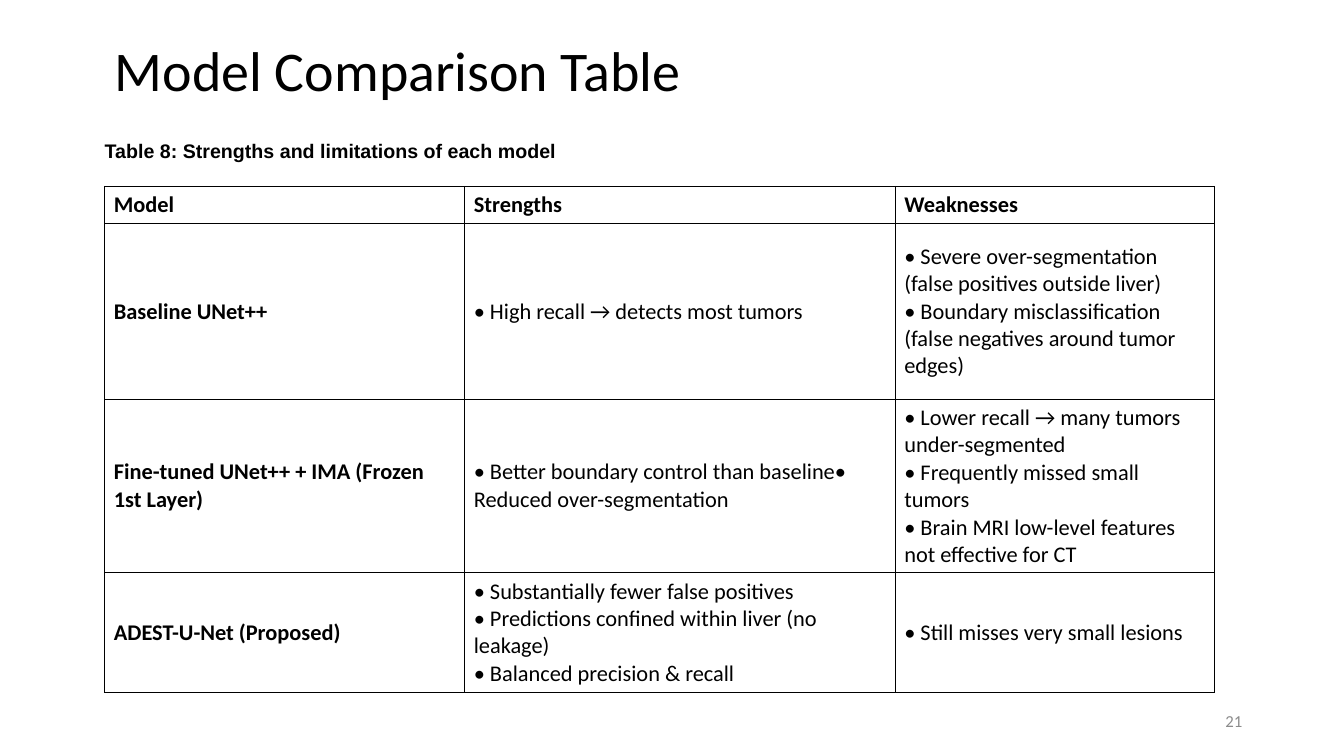
import pptx
import pptx.dml.color
import pptx.enum.text
import pptx.oxml
import pptx.oxml.ns
import pptx.util

Inches = pptx.util.Inches
Pt = pptx.util.Pt
RGBColor = pptx.dml.color.RGBColor
PP_ALIGN = pptx.enum.text.PP_ALIGN
MSO_ANCHOR = pptx.enum.text.MSO_ANCHOR
MSO_AUTO_SIZE = pptx.enum.text.MSO_AUTO_SIZE

BLACK = RGBColor(0x00, 0x00, 0x00)
GREY = RGBColor(0x8C, 0x8C, 0x8C)

COLUMN_WIDTHS = [3.57, 4.27, 3.17]
ROW_HEIGHTS = [0.37, 1.74, 1.72, 1.19]
MODELS = [
    ["Model", "Strengths", "Weaknesses"],
    [
        "Baseline UNet++",
        "• High recall → detects most tumors",
        "• Severe over-segmentation (false positives outside liver)\n"
        "• Boundary misclassification (false negatives around tumor edges)",
    ],
    [
        "Fine-tuned UNet++ + IMA (Frozen 1st Layer)",
        "• Better boundary control than baseline• Reduced over-segmentation",
        "• Lower recall → many tumors under-segmented\n"
        "• Frequently missed small tumors\n"
        "• Brain MRI low-level features not effective for CT",
    ],
    [
        "ADEST-U-Net (Proposed)",
        "• Substantially fewer false positives\n"
        "• Predictions confined within liver (no leakage)\n"
        "• Balanced precision & recall",
        "• Still misses very small lesions",
    ],
]


class SlideBuilder:
    """Holds the slide and its text and border style."""

    font = "Calibri"
    border_pt = 1

    def __init__(self, prs):
        self.s = prs.slides.add_slide(prs.slide_layouts[5])

    def format_text(self, tf, size, color=BLACK, bold=False, font=None, align=PP_ALIGN.LEFT):
        for p in tf.paragraphs:
            p.alignment = align
            for r in p.runs:
                r.font.name = font or self.font
                r.font.size = Pt(size)
                r.font.bold = bold
                r.font.color.rgb = color

    def title(self, text, left, top, width, height):
        sp = self.s.shapes.title
        sp.left, sp.top = Inches(left), Inches(top)
        sp.width, sp.height = Inches(width), Inches(height)
        tf = sp.text_frame
        tf.text = text
        tf.auto_size = MSO_AUTO_SIZE.NONE
        tf.vertical_anchor = MSO_ANCHOR.MIDDLE
        tf.paragraphs[0].line_spacing = 0.9
        self.format_text(tf, 40)

    def text(self, text, left, top, width, height, size, wrap=True, anchor=MSO_ANCHOR.TOP, **style):
        sp = self.s.shapes.add_textbox(Inches(left), Inches(top), Inches(width), Inches(height))
        tf = sp.text_frame
        tf.text = text
        tf.word_wrap = wrap
        tf.vertical_anchor = anchor
        self.format_text(tf, size, **style)

    def border(self, cell):
        tc_pr = cell._tc.get_or_add_tcPr()
        for side in ("lnL", "lnR", "lnT", "lnB"):
            tc_pr.append(pptx.oxml.parse_xml(
                f'<a:{side} {pptx.oxml.ns.nsdecls("a")} w="{Pt(self.border_pt)}">'
                f'<a:solidFill><a:srgbClr val="{BLACK}"/></a:solidFill></a:{side}>'))

    def table(self, rows, left, top, widths, heights, size):
        table = self.s.shapes.add_table(
            len(rows), len(widths), Inches(left), Inches(top),
            Inches(sum(widths)), Inches(sum(heights))).table
        table.first_row = table.horz_banding = False
        for column, width in zip(table.columns, widths):
            column.width = Inches(width)
        for i, (row, height) in enumerate(zip(rows, heights)):
            table.rows[i].height = Inches(height)
            for j, text in enumerate(row):
                cell = table.cell(i, j)
                cell.text_frame.text = text
                cell.vertical_anchor = MSO_ANCHOR.MIDDLE
                cell.margin_left = cell.margin_right = Inches(0.09)
                cell.margin_top = cell.margin_bottom = Inches(0.05)
                self.border(cell)
                cell.fill.background()
                # Header row and model names are bold
                self.format_text(cell.text_frame, size, bold=i == 0 or j == 0)


def main():
    prs = pptx.Presentation()
    prs.slide_width, prs.slide_height = Inches(13.33), Inches(7.5)
    slide = SlideBuilder(prs)

    # Title and slide number
    slide.title("Model Comparison Table", 1.04, 0, 11.5, 1.45)
    slide.text("21", 9.42, 6.95, 3, 0.4, 12, anchor=MSO_ANCHOR.MIDDLE,
               color=GREY, align=PP_ALIGN.RIGHT)

    # Comparison table with its caption
    slide.table(MODELS, 1.04, 1.85, COLUMN_WIDTHS, ROW_HEIGHTS, 16)
    slide.text("Table 8: Strengths and limitations of each model",
               0.94, 1.33, 4.7, 0.34, 14, wrap=False, bold=True, font="Arial")

    prs.save("out.pptx")


if __name__ == "__main__":
    main()
